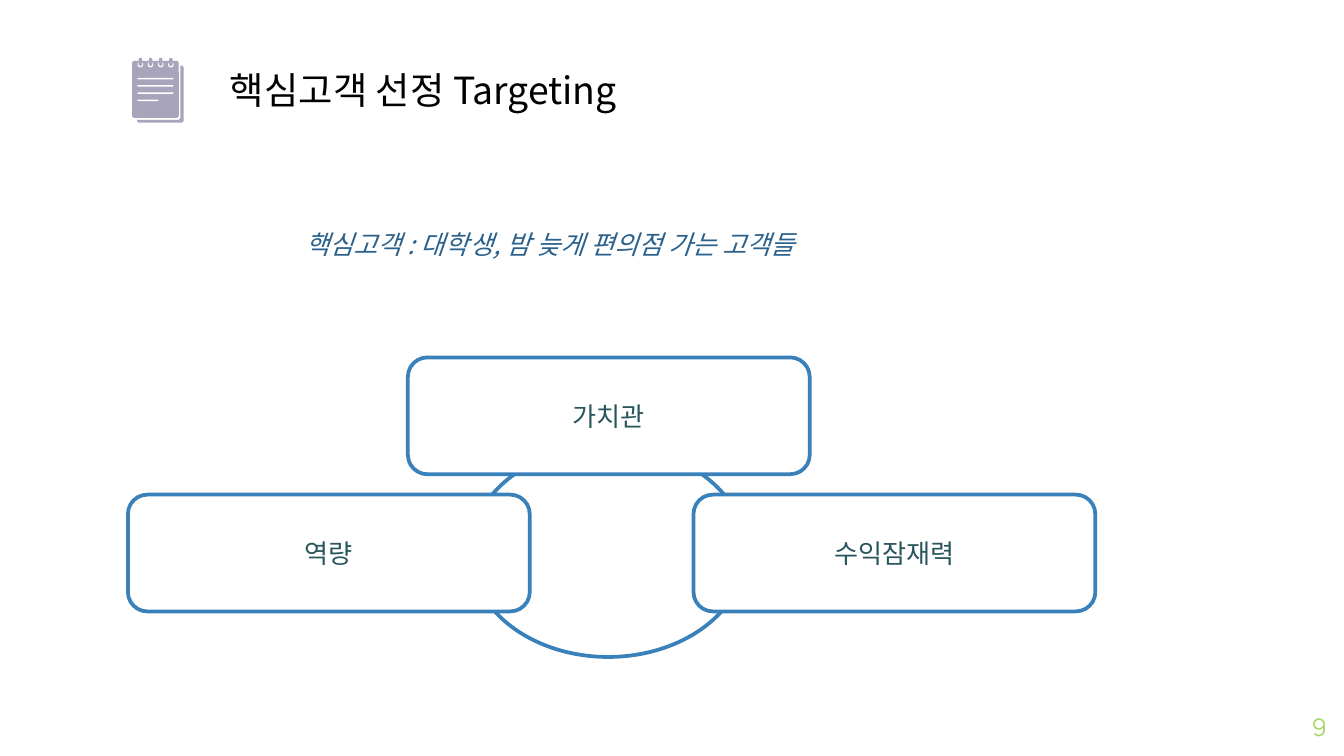
from lxml import etree
from pptx import Presentation
from pptx.dml.color import RGBColor
from pptx.enum.shapes import MSO_SHAPE
from pptx.enum.text import MSO_ANCHOR, PP_ALIGN
from pptx.oxml.ns import qn
from pptx.util import Pt

OVAL, ROUNDED = MSO_SHAPE.OVAL, MSO_SHAPE.ROUNDED_RECTANGLE
TOP, MIDDLE = MSO_ANCHOR.TOP, MSO_ANCHOR.MIDDLE
LEFT, CENTER, RIGHT = PP_ALIGN.LEFT, PP_ALIGN.CENTER, PP_ALIGN.RIGHT

WHITE = RGBColor(0xFF, 0xFF, 0xFF)
BLACK = RGBColor(0x00, 0x00, 0x00)
BLUE = RGBColor(0x3A, 0x81, 0xBA)
DARK_BLUE = RGBColor(0x2B, 0x61, 0x8B)
TEAL = RGBColor(0x29, 0x55, 0x5D)
LILAC = RGBColor(0xA7, 0xA4, 0xBC)
GREEN = RGBColor(0xA7, 0xD8, 0x6D)
KOREAN = "Noto Sans CJK KR"

prs = Presentation()
prs.slide_width, prs.slide_height = Pt(720), Pt(405)
s = prs.slides.add_slide(prs.slide_layouts[5])


def add_shape(kind, x, y, w, h, fill, line=None):
    sp = s.shapes.add_shape(kind, Pt(x), Pt(y), Pt(w), Pt(h))
    sp.shadow.inherit = False
    sp.fill.solid()
    sp.fill.fore_color.rgb = fill
    if line is None:
        sp.line.fill.background()
    else:
        sp.line.color.rgb = line
        sp.line.width = Pt(2)
    return sp


def set_text(sp, text, size, color, align=LEFT, anchor=TOP, font=KOREAN):
    tf = sp.text_frame
    tf.text = text
    tf.word_wrap = True
    tf.vertical_anchor = anchor
    p = tf.paragraphs[0]
    p.alignment = align
    r = p.runs[0]
    r.font.size = Pt(size)
    r.font.name = font
    r.font.color.rgb = color
    etree.SubElement(r.font._element, qn("a:ea"), typeface=font)
    return r


add_shape(OVAL, 252, 239, 147.6, 113, WHITE, BLUE)

title = s.shapes.title
title.left, title.top, title.width, title.height = Pt(116), Pt(32.4), Pt(436), Pt(32)
set_text(title, "핵심고객 선정 Targeting", 20, BLACK)

subtitle = s.shapes.add_textbox(Pt(156.5), Pt(119), Pt(430), Pt(24.5))
r = set_text(subtitle, "핵심고객 : 대학생, 밤 늦게 편의점 가는 고객들", 14, DARK_BLUE)
r.font.italic = True

for x, y, text in [(218.5, 191.5, "가치관"), (68.5, 265, "역량"), (371.5, 265, "수익잠재력")]:
    box = add_shape(ROUNDED, x, y, 215.3, 62.6, WHITE, BLUE)
    set_text(box, text, 14, TEAL, CENTER, MIDDLE)

number = s.shapes.add_textbox(Pt(667.5), Pt(373.7), Pt(43.2), Pt(31))
set_text(number, "9", 13, GREEN, RIGHT, MIDDLE, "Manrope")
tf = number.text_frame
tf.margin_left = tf.margin_right = tf.margin_top = tf.margin_bottom = 0

fb = s.shapes.build_freeform(Pt(96.6), Pt(35.2))
fb.add_line_segments([(Pt(x), Pt(y)) for x, y in [
    (97.6, 35.2), (98.3, 36), (98.3, 64.8), (97.6, 65.7), (74.2, 65.7),
    (73.5, 65), (73.5, 64.2), (95.8, 64.2), (96.6, 63.4)]])
back_page = fb.convert_to_shape()
back_page.shadow.inherit = False
back_page.fill.solid()
back_page.fill.fore_color.rgb = LILAC
back_page.line.fill.background()

front_page = add_shape(ROUNDED, 70.8, 32.6, 25, 30.6, LILAC)
front_page.adjustments[0] = 0.05

for i in range(4):
    x = 75.2 + 5.45 * i
    add_shape(OVAL, x - 1.5, 33.1, 3, 3, WHITE)
    ring = add_shape(ROUNDED, x - 0.95, 31, 1.9, 4.3, LILAC)
    ring.adjustments[0] = 0.5

for i, w in enumerate([19.4, 19.4, 19.4, 11.3]):
    rule = add_shape(ROUNDED, 73.6, 41.8 + 3.85 * i, w, 0.8, WHITE)
    rule.adjustments[0] = 0.5

prs.save("out.pptx")
